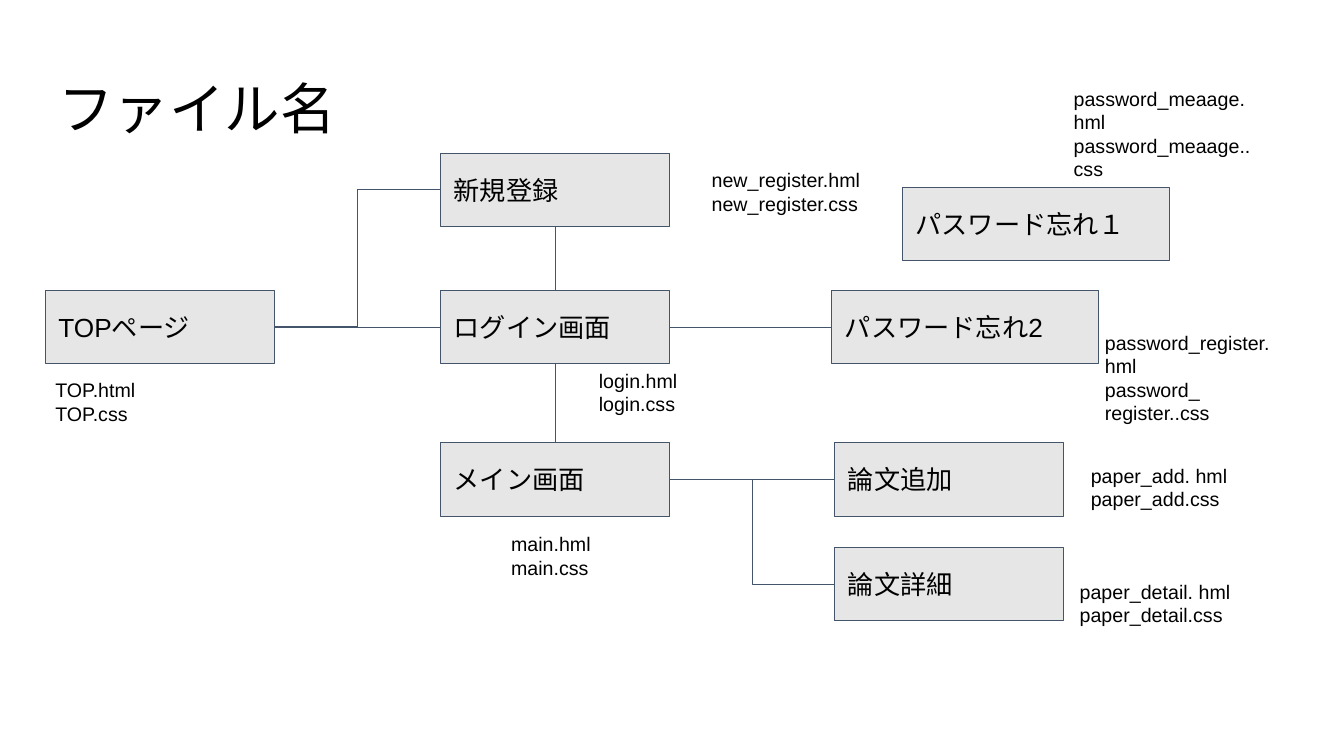
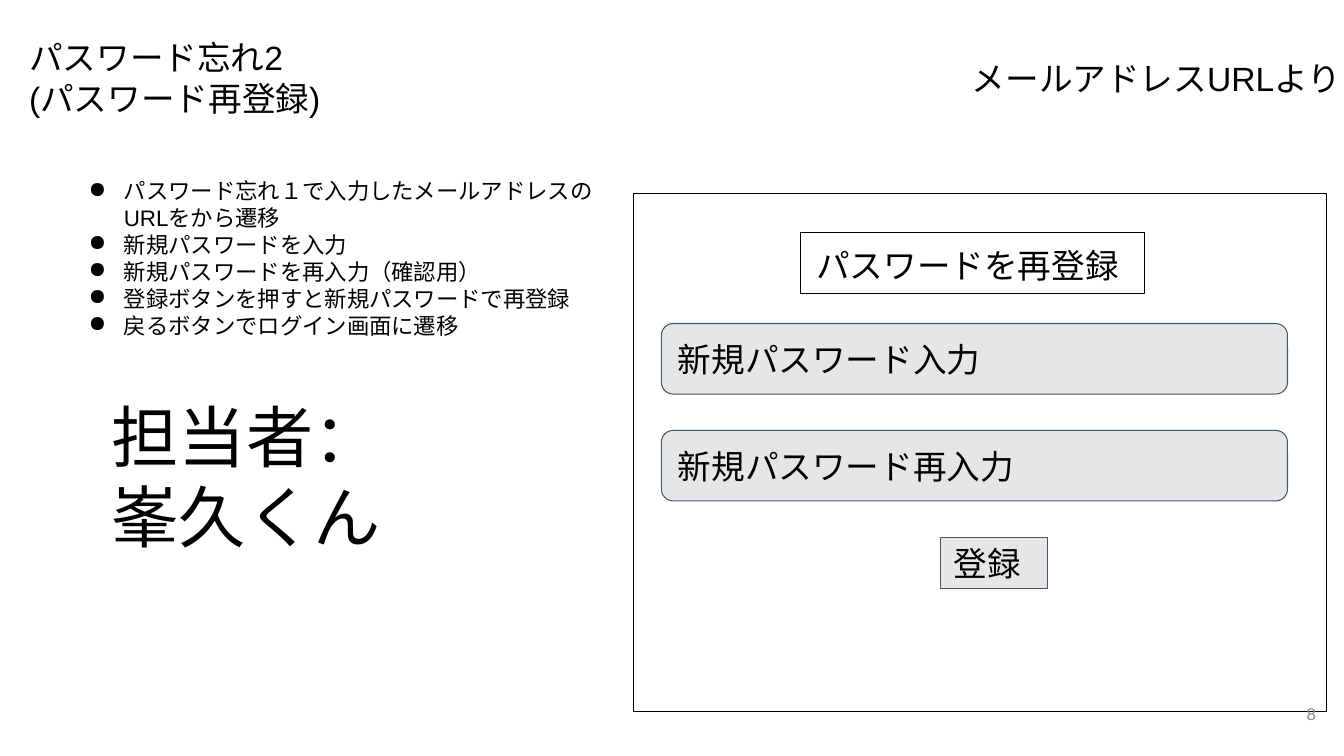
from lxml import etree
from pptx import Presentation
from pptx.dml.color import RGBColor
from pptx.enum.shapes import MSO_CONNECTOR as Route, MSO_SHAPE as Preset
from pptx.enum.text import MSO_ANCHOR as Anchor, MSO_AUTO_SIZE as Fit, PP_ALIGN as Align
from pptx.oxml.ns import qn
from pptx.util import Inches, Pt

BLACK = RGBColor(0x00, 0x00, 0x00)
WHITE = RGBColor(0xFF, 0xFF, 0xFF)
GREY_FILL = RGBColor(0xE7, 0xE6, 0xE6)
SLATE = RGBColor(0x44, 0x54, 0x6A)
NUMBER_GREY = RGBColor(0x88, 0x88, 0x88)
FONT = "Arial"
LINE_WIDTH = Pt(0.75)
TOP, LEFT, BOTTOM, RIGHT = range(4)


class Deck:
    def __init__(self, width, height):
        self.presentation = Presentation()
        self.presentation.slide_width = Inches(width)
        self.presentation.slide_height = Inches(height)

    def new_slide(self):
        layout = self.presentation.slide_layouts[6]
        self.slide = self.presentation.slides.add_slide(layout)
        self.canvas = self.slide.shapes

    def open_group(self):
        self.canvas = self.slide.shapes.add_group_shape().shapes

    def close_group(self):
        self.canvas = self.slide.shapes

    def set_text(self, frame, words, size, color=BLACK, align=Align.LEFT,
                 anchor=Anchor.TOP, inset=0.13, inset_y=None):
        frame.word_wrap = True
        frame.vertical_anchor = anchor
        frame.margin_left = frame.margin_right = Inches(inset)
        frame.margin_top = frame.margin_bottom = Inches(inset if inset_y is None else inset_y)
        frame.text = words
        for paragraph in frame.paragraphs:
            paragraph.alignment = align
            paragraph.font.name = FONT
            paragraph.font.size = Pt(size)
            paragraph.font.color.rgb = color

    def text(self, at, words, size, fit=Fit.SHAPE_TO_FIT_TEXT, **style):
        frame = self.canvas.add_textbox(*map(Inches, at)).text_frame
        self.set_text(frame, words, size, **style)
        frame.auto_size = fit
        return frame

    def label(self, at, words, size=14):
        self.text(at, words, size, inset=0.1, inset_y=0.05)

    def bullets(self, at, words, size):
        frame = self.text(at, words, size, inset=0.1)
        for paragraph in frame.paragraphs:
            properties = paragraph._p.get_or_add_pPr()
            properties.set("marL", str(Inches(0.5)))
            properties.set("indent", str(Inches(-0.35)))
            mark = etree.Element(qn("a:buChar"), char="●")
            properties.find(qn("a:defRPr")).addprevious(mark)

    def box(self, at, words="", size=24, preset=Preset.RECTANGLE, fill=GREY_FILL, line=SLATE):
        shape = self.canvas.add_shape(preset, *map(Inches, at))
        shape.shadow.inherit = False
        if fill is None:
            shape.fill.background()
        else:
            shape.fill.solid()
            shape.fill.fore_color.rgb = fill
        shape.line.color.rgb = line
        shape.line.width = LINE_WIDTH
        if words:
            self.set_text(shape.text_frame, words, size, anchor=Anchor.MIDDLE)
        return shape

    def link(self, start, start_side, end, end_side, route=Route.STRAIGHT):
        connector = self.canvas.add_connector(route, 0, 0, 0, 0)
        connector.begin_connect(start, start_side)
        connector.end_connect(end, end_side)
        connector.line.color.rgb = SLATE
        connector.line.width = LINE_WIDTH
        etree.SubElement(connector._element.spPr, qn("a:effectLst"))


def build_file_map(deck):
    deck.new_slide()
    title = deck.text((0.45, 0.68, 12.42, 0.84), "ファイル名", 39.6, fit=Fit.NONE)
    title.paragraphs[0].line_spacing = 0.9

    def screen(left, top, name, width=2.27):
        return deck.box((left, top, width, 0.73), name, 18.7)

    login = screen(4.37, 2.88, "ログイン画面")
    register = screen(4.37, 1.52, "新規登録")
    main = screen(4.37, 4.39, "メイン画面")
    reset = screen(8.25, 2.88, "パスワード忘れ2", 2.65)
    top_page = screen(0.45, 2.88, "TOPページ")
    paper_add = screen(8.28, 4.39, "論文追加")
    paper_detail = screen(8.28, 5.43, "論文詳細")
    screen(8.95, 1.86, "パスワード忘れ１", 2.65)

    deck.link(login, RIGHT, reset, LEFT)
    deck.link(register, BOTTOM, login, TOP)
    deck.link(login, BOTTOM, main, TOP)
    deck.link(top_page, RIGHT, login, LEFT)
    deck.link(top_page, RIGHT, register, LEFT, Route.ELBOW)
    deck.link(main, RIGHT, paper_add, LEFT)
    deck.link(main, RIGHT, paper_detail, LEFT, Route.ELBOW)

    for left, top, height, files in (
        (0.45, 3.7, 0.57, "TOP.html\nTOP.css"),
        (6.96, 1.62, 0.57, "new_register.hml\nnew_register.css"),
        (5.84, 3.61, 0.57, "login.hml\nlogin.css"),
        (4.97, 5.23, 0.57, "main.hml\nmain.css"),
        (10.55, 0.81, 1.04, "password_meaage. hml\npassword_meaage..css"),
        (10.86, 3.23, 1.04, "password_register. hml\npassword_ register..css"),
        (10.72, 4.55, 0.57, "paper_add. hml\npaper_add.css"),
        (10.61, 5.7, 0.57, "paper_detail. hml\npaper_detail.css"),
    ):
        deck.label((left, top, 1.99, height), files)


def build_password_reset(deck):
    deck.new_slide()
    deck.text((0.16, 0.24, 3.57, 1.08), "パスワード忘れ2\n(パスワード再登録)", 24)
    deck.text((9.51, 0.44, 3.96, 0.67), "メールアドレスURLより", 24)

    deck.open_group()
    deck.box((6.28, 1.92, 6.88, 5.14), fill=WHITE, line=BLACK)
    deck.text((6.7, 2.3, 5.79, 0.67), "パスワードを再登録", 24, align=Align.CENTER)
    for top, prompt in ((3.21, "新規パスワード入力"), (4.27, "新規パスワード再入力")):
        deck.box((6.56, top, 6.21, 0.7), prompt, preset=Preset.ROUNDED_RECTANGLE)
    deck.box((9.33, 5.33, 1.06, 0.51), "登録")
    deck.box((7.94, 2.31, 3.41, 0.6), fill=None, line=BLACK)
    deck.close_group()

    steps = (
        "パスワード忘れ１で入力したメールアドレスのURLをから遷移",
        "新規パスワードを入力",
        "新規パスワードを再入力（確認用）",
        "登録ボタンを押すと新規パスワードで再登録",
        "戻るボタンでログイン画面に遷移",
    )
    deck.bullets((0.63, 1.66, 5.5, 1.82), "\n".join(steps), 16)
    deck.text((12.35, 6.8, 0.8, 0.57), "8", 12, fit=Fit.NONE, color=NUMBER_GREY,
              align=Align.RIGHT, anchor=Anchor.MIDDLE, inset=0.1)
    deck.label((1.01, 3.87, 3.34, 1.72), "担当者：峯久くん", 48)


deck = Deck(13.33, 7.5)
build_file_map(deck)
build_password_reset(deck)
deck.presentation.save("out.pptx")
